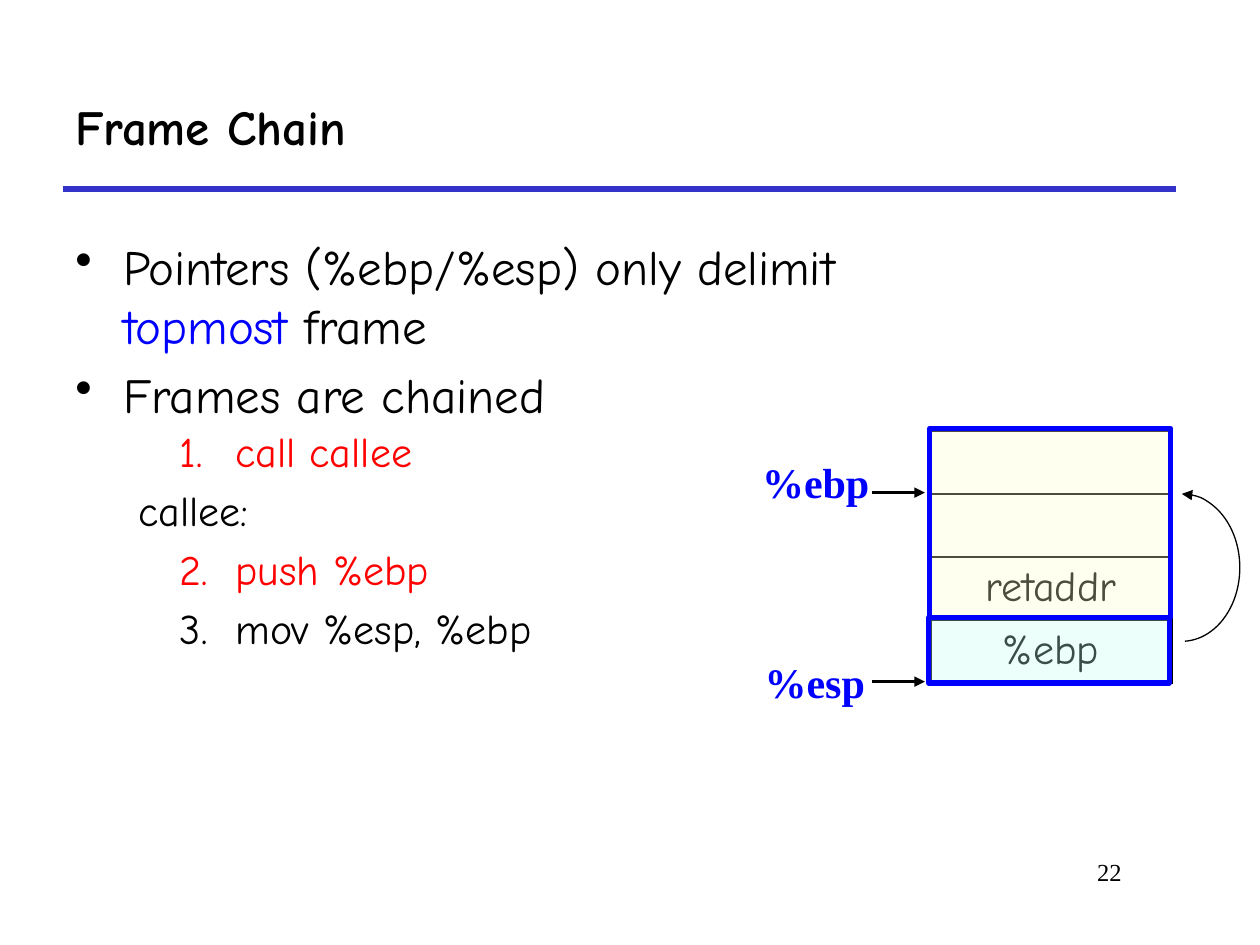
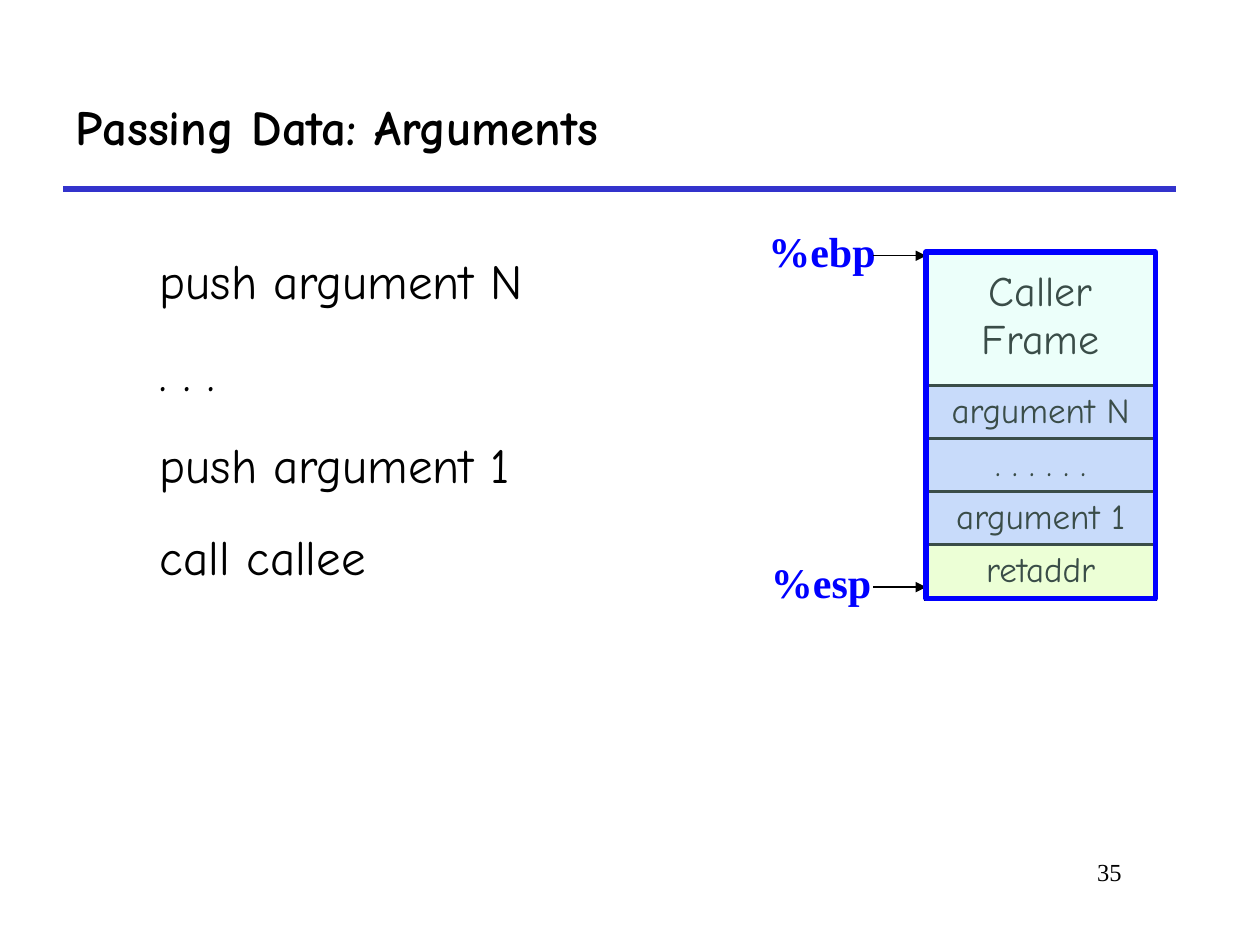
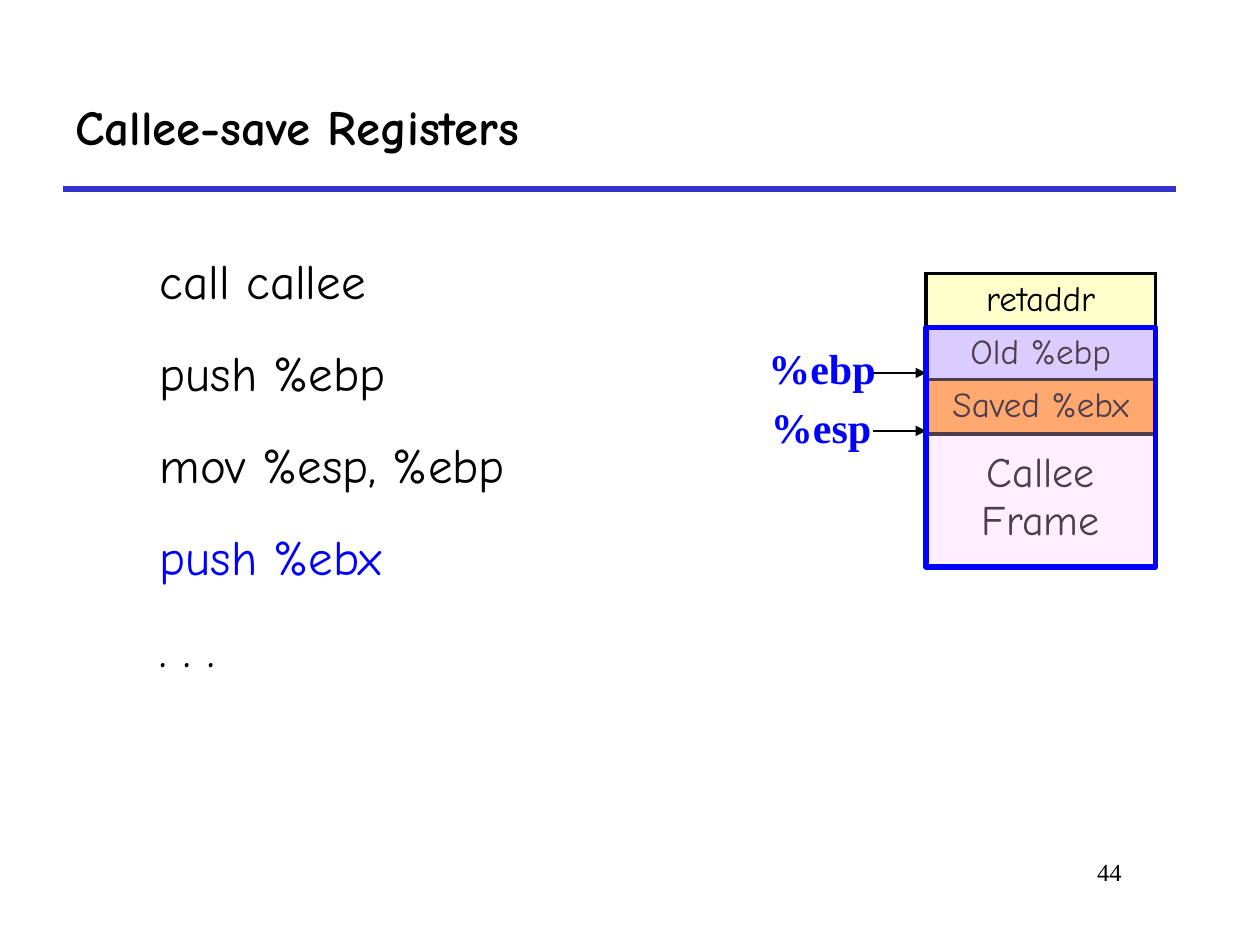
import pptx
import pptx.util
import pptx.dml.color
import pptx.enum.shapes
import pptx.enum.text
import pptx.oxml
import pptx.oxml.ns
from dataclasses import dataclass

Inches = pptx.util.Inches
Pt = pptx.util.Pt
Kind = pptx.enum.shapes.MSO_SHAPE
Align = pptx.enum.text.PP_ALIGN
Anchor = pptx.enum.text.MSO_ANCHOR
Fit = pptx.enum.text.MSO_AUTO_SIZE


@dataclass(frozen=True)
class Theme:
    sans: str = "Comic Neue"
    serif: str = "Times New Roman"
    black: str = "000000"
    white: str = "FFFFFF"
    blue: str = "0000FF"
    red: str = "FF0000"
    rule: str = "3333CC"
    cream: str = "FFFFCC"
    mint: str = "C2FFF0"
    pink: str = "FFCCFF"
    lilac: str = "CCCCFF"
    gold: str = "FF9933"
    head: int = 28
    sub: int = 24
    cell: int = 20
    foot: int = 14


T = Theme()
LEFT, WIDE, ROW, STEP = 7.35, 1.82, 0.43, 0.42

POINTS = [
    [("Pointers (%ebp/%esp) only delimit ", T.black), ("topmost ", T.blue), ("frame", T.black)],
    "Frames are chained",
]
STEPS = [
    ("1.\tcall callee", T.red, 1.27, -0.44),
    ("callee:", T.black, 0.5, 0),
    ("2.\tpush %ebp", T.red, 1.27, -0.44),
    ("3.\tmov %esp, %ebp", T.black, 1.27, -0.44),
]
CHAIN = ["", "", "retaddr", "%ebp"]
CHAIN_TAGS = [
    ("%ebp", (5.95, 3.57, 1.06, 0.51), 3.91),
    ("%esp", (5.97, 5.16, 1.01, 0.51), 5.41),
]

STACKS = [
    dict(
        title="Passing Data: Arguments", page=35, top=3.06,
        code=[("push argument N", T.black), (". . .", T.black),
              ("push argument 1", T.black), ("call callee", T.black)],
        cells=[("argument N", T.lilac), (". . . . . .", T.lilac),
               ("argument 1", T.lilac), ("retaddr", T.cream)],
        frame=("Caller\nFrame", 2.0, 2.75, 0.13, T.mint),
        tags=[("%ebp", (6, 1.74, 1.06, 0.51), 2.03),
              ("%esp", (6.02, 4.37, 1.01, 0.42), 4.66)],
    ),
    dict(
        title="Callee-save Registers", page=44, top=2.17,
        code=[("call callee", T.black), ("push %ebp", T.black), ("mov %esp, %ebp", T.black),
              ("push %ebx", T.blue), (". . .", T.black)],
        cells=[("retaddr", T.cream), ("Old %ebp", T.lilac), ("Saved %ebx", T.gold)],
        frame=("Callee\nFrame", 2.6, 1.9, 0.97, T.pink),
        tags=[("%ebp", (6, 2.67, 1.06, 0.51), 2.96),
              ("%esp", (6.02, 3.14, 1.01, 0.56), 3.42)],
    ),
]


def rgb(code):
    return pptx.dml.color.RGBColor.from_string(code)


def place(box):
    return [Inches(n) for n in box]


def node(root, tag, **attrs):
    item = pptx.oxml.parse_xml(f"<a:{tag} {pptx.oxml.ns.nsdecls('a')}/>")
    for key, value in attrs.items():
        item.set(key, str(value))
    root.append(item)
    return item


def write(frame, text, size=T.head, font=T.sans, color=T.black, bold=False,
          align=Align.LEFT, gap=0.2, line=None, left=0, hang=0, mark=None):
    para = frame.paragraphs[0]
    if para.runs:
        para = frame.add_paragraph()
    para.alignment = align
    para.space_before = Pt(round(size * gap, 1))
    if line:
        para.line_spacing = line
    props = para._p.get_or_add_pPr()
    props.set("marL", str(Inches(left)))
    props.set("indent", str(Inches(hang)))
    if mark:
        node(props, "buChar", char=mark)
    runs = [(text, color)] if isinstance(text, str) else text
    for words, tint in runs:
        for i, part in enumerate(words.split("\n")):
            if i:
                para.add_line_break()
            run = para.add_run()
            run.text = part
            run.font.size = Pt(size)
            run.font.name = font
            run.font.bold = bold
            run.font.color.rgb = rgb(tint)


def area(slide, box, wrap=True, grow=False):
    frame = slide.shapes.add_textbox(*place(box)).text_frame
    frame.word_wrap = wrap
    if grow:
        frame.auto_size = Fit.SHAPE_TO_FIT_TEXT
    return frame


def stroke(item, color, width):
    item.line.color.rgb = rgb(color)
    item.line.width = Pt(width)


def link(slide, x1, x2, y, color, width, arrow=False):
    line = slide.shapes.add_connector(
        pptx.enum.shapes.MSO_CONNECTOR.STRAIGHT, *place((x1, y, x2, y)))
    stroke(line, color, width)
    if arrow:
        node(line.line._get_or_add_ln(), "tailEnd", type="triangle")
    node(line.element.spPr, "effectLst")


def veil(slide, box, color):
    rect = slide.shapes.add_shape(Kind.RECTANGLE, *place(box))
    rect.shadow.inherit = False
    rect.fill.solid()
    rect.fill.fore_color.rgb = rgb(color)
    tint = next(rect.element.spPr.iter(pptx.oxml.ns.qn("a:srgbClr")))
    node(tint, "alpha", val=30000)
    stroke(rect, T.blue, 3)


def grid(slide, box, texts, fill=None, size=T.cell, gap=0.2, edge=2.25, pad=0.05):
    table = slide.shapes.add_table(len(texts), 1, *place(box)).table
    table.first_row = table.horz_banding = False
    for i, text in enumerate(texts):
        cell = table.cell(i, 0)
        cell.margin_top = Inches(pad)
        props = cell._tc.get_or_add_tcPr()
        for side, width in (("L", 2.25), ("R", 2.25), ("T", edge), ("B", edge)):
            line = node(props, "ln" + side, w=Pt(width))
            node(node(line, "solidFill"), "srgbClr", val=T.black)
        if fill:
            cell.fill.solid()
            cell.fill.fore_color.rgb = rgb(fill)
        else:
            cell.fill.background()
        if text:
            write(cell.text_frame, text, size=size, gap=gap, align=Align.CENTER)


def label(slide, tags, start, end, width):
    for text, box, y in tags:
        write(area(slide, box, wrap=False, grow=True), text,
              size=T.sub, font=T.serif, color=T.blue, bold=True, gap=0.5)
        link(slide, start, end, y, T.black, width, arrow=True)


def base(deck, title, page):
    slide = deck.slides.add_slide(deck.slide_layouts[6])
    link(slide, 0.5, 9.33, 1.5, T.rule, 3)
    frame = area(slide, (0.5, 0.5, 8.83, 1))
    frame.vertical_anchor = Anchor.MIDDLE
    write(frame, title, bold=True, gap=0)
    write(area(slide, (7.58, 6.75, 1.42, 0.5)), str(page),
          size=T.foot, font=T.serif, align=Align.RIGHT, gap=0)
    return slide


def chain(deck):
    slide = base(deck, "Frame Chain", 22)
    grid(slide, (7.38, 3.42, 1.92, 2), CHAIN, fill=T.white, size=T.sub, gap=0.5, edge=1)
    veil(slide, (7.37, 4.9, 1.91, 0.52), T.mint)
    veil(slide, (7.38, 3.4, 1.91, 1.5), T.cream)
    frame = area(slide, (0.5, 1.83, 6.63, 2.24))
    for text in POINTS:
        write(frame, text, left=0.38, hang=-0.38, mark="•")
    label(slide, CHAIN_TAGS, 6.92, 7.34, 1.5)
    frame = area(slide, (0.5, 3.33, 5, 2.44), grow=True)
    for text, color, left, hang in STEPS:
        write(frame, text, size=T.sub, color=color, left=left, hang=hang)
    arc = slide.shapes.add_shape(Kind.ARC, *place((8.92, 3.92, 0.92, 1.17)))
    arc.adjustments[0] = 162
    arc.adjustments[1] = 52.61
    arc.shadow.inherit = False
    arc.fill.background()
    stroke(arc, T.black, 0.75)
    node(arc.line._get_or_add_ln(), "headEnd", type="triangle")


def stack(deck, title, page, top, code, cells, frame, tags):
    slide = base(deck, title, page)
    body = area(slide, (1.17, 1.75, 8.5, 4.83))
    for text, color in code:
        write(body, text, color=color, line=1.4)
    for i, (text, fill) in enumerate(cells):
        grid(slide, (LEFT, top + i * STEP, WIDE, ROW), [text], fill=fill)
    name, y, high, pad, tint = frame
    box = (LEFT, y, WIDE, high)
    grid(slide, box, [name], size=T.sub, gap=0, pad=pad)
    label(slide, tags, 6.93, LEFT, 0.75)
    veil(slide, box, tint)


def main():
    deck = pptx.Presentation()
    deck.slide_width, deck.slide_height = Inches(10), Inches(7.5)
    chain(deck)
    for data in STACKS:
        stack(deck, **data)
    deck.save("out.pptx")


if __name__ == "__main__":
    main()
